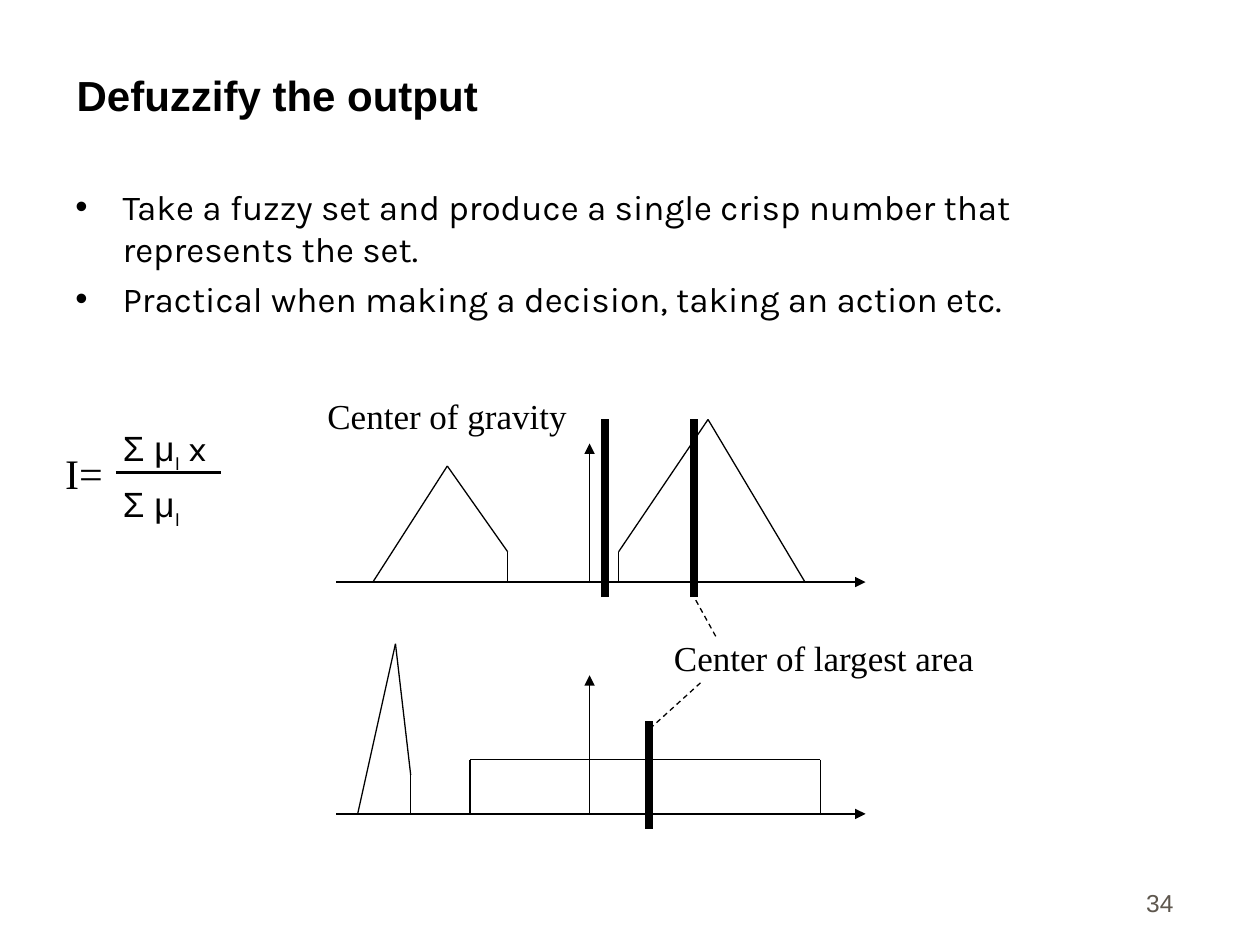
import itertools
import pptx
import pptx.util
import pptx.dml.color
import pptx.enum.dml
import pptx.enum.shapes
import pptx.enum.text
import pptx.oxml.ns
import lxml.etree

Pt = pptx.util.Pt
ALIGN = pptx.enum.text.PP_ALIGN
ANCHOR = pptx.enum.text.MSO_ANCHOR
BLACK = "000000"


def color(code):
    return pptx.dml.color.RGBColor.from_string(code)


def style(font, name, size, code=BLACK, bold=False):
    font.name = name
    font.size = Pt(size)
    font.bold = bold
    font.color.rgb = color(code)


def add(node, tag, **attrs):
    return lxml.etree.SubElement(node, pptx.oxml.ns.qn(tag), **attrs)


def frame(slide, box, wrap=True, anchor=ANCHOR.TOP):
    text = slide.shapes.add_textbox(*map(Pt, box)).text_frame
    text.word_wrap = wrap
    text.vertical_anchor = anchor
    return text


def label(slide, box, words, name, size, code=BLACK, bold=False,
          wrap=True, anchor=ANCHOR.TOP, align=ALIGN.LEFT):
    text = frame(slide, box, wrap, anchor)
    text.text = words
    para = text.paragraphs[0]
    para.alignment = align
    style(para.runs[0].font, name, size, code, bold)


def line(slide, start, end, width=0.75, arrow=False, dash=False):
    link = slide.shapes.add_connector(
        pptx.enum.shapes.MSO_CONNECTOR.STRAIGHT, *map(Pt, (*start, *end)))
    link.line.color.rgb = color(BLACK)
    link.line.width = Pt(width)
    if dash:
        link.line.dash_style = pptx.enum.dml.MSO_LINE.DASH
    if arrow:
        add(link.line._get_or_add_ln(), "a:tailEnd", type="triangle")
    add(link._element.spPr, "a:effectLst")


def bullets(slide, box, items):
    text = frame(slide, box)
    text.text = "\n".join(items)
    for i, para in enumerate(text.paragraphs):
        props = para._p.get_or_add_pPr()
        props.set("marL", str(Pt(27)))
        props.set("indent", str(Pt(-27)))
        if i:
            para.space_before = Pt(5)
        add(props, "a:buFont", typeface="Arial")
        add(props, "a:buChar", char="•")
        style(para.runs[0].font, "Karla", 20)


def formula(slide, box):
    left, top, width, height = box
    label(slide, (left, top + 12, 42, 36), "I=", "Times New Roman", 24)
    text = frame(slide, (left + 33, top, width - 33, height))
    for i, tail in enumerate((" x", "")):
        para = text.add_paragraph() if i else text.paragraphs[0]
        if i:
            para.space_before = Pt(5)
        for words, name in (("Σ μ", "Arial"), ("I", "Karla"), (tail, "Karla")):
            if words:
                run = para.add_run()
                run.text = words
                style(run.font, name, 20)
                if words == "I":
                    run.font._element.set("baseline", "-25000")
    line(slide, (left + 36, top + 30), (left + 96, top + 30), 1.5)


def plot(slide, box, curves, bars):
    left, base, width, height = box

    def place(x, y):
        return left + x, base - y

    line(slide, place(0, 0), place(width, 0), arrow=True)
    line(slide, place(144.7, 0), place(144.7, height), arrow=True)
    for curve in curves:
        for start, end in itertools.pairwise(curve):
            line(slide, place(*start), place(*end))
    for x, top in bars:
        line(slide, place(x, -8.6), place(x, top), 4.5)


def chart(slide, box):
    left, top, width, height = box
    plot(slide, (left + 12.2, top + 110.8, 302.4, 79.2),
         [[(20.9, 0), (63.4, 66.3), (97.9, 17.3), (97.9, 0)],
          [(161.3, 0), (161.3, 17.3), (212.4, 92.9), (267.8, 0)]],
         [(153.4, 92.9), (204.5, 92.9)])
    plot(slide, (left + 12.2, top + 243.3, 302.4, 79.2),
         [[(12.2, 0), (33.8, 97.2), (42.5, 22.3), (42.5, 0)],
          [(76.3, 0), (76.3, 31), (276.5, 31), (276.5, 0)]],
         [(178.6, 53.3)])
    for words, x, y, wide in (("Center of largest area", 198, 138.2, 186.5),
                              ("Center of gravity", 0, 0, 151.2)):
        label(slide, (left + x, top + y, wide, 31.7), words,
              "Times New Roman", 20, wrap=False)
    for x, y, far, low in ((220.3, 168.4, 190.8, 195.1),
                           (229, 141.8, 216.7, 119.5)):
        line(slide, (left + x, top + y), (left + far, top + low), dash=True)


def main():
    deck = pptx.Presentation()
    deck.slide_width = Pt(720)
    deck.slide_height = Pt(540)
    slide = deck.slides.add_slide(deck.slide_layouts[6])
    label(slide, (36.7, 18, 642.2, 54), "Defuzzify the output", "Arial", 24,
          bold=True, anchor=ANCHOR.BOTTOM)
    bullets(slide, (36, 102.2, 643.7, 90), [
        "Take a fuzzy set and produce a single crisp number that represents the set.",
        "Practical when making a decision, taking an action etc.",
    ])
    chart(slide, (180, 221.8, 384.5, 252))
    formula(slide, (30.2, 240, 110, 70))
    label(slide, (527.8, 491.8, 149.8, 36), "34", "Arial", 14, "5E574E",
          anchor=ANCHOR.BOTTOM, align=ALIGN.RIGHT)
    deck.save("out.pptx")


if __name__ == "__main__":
    main()
